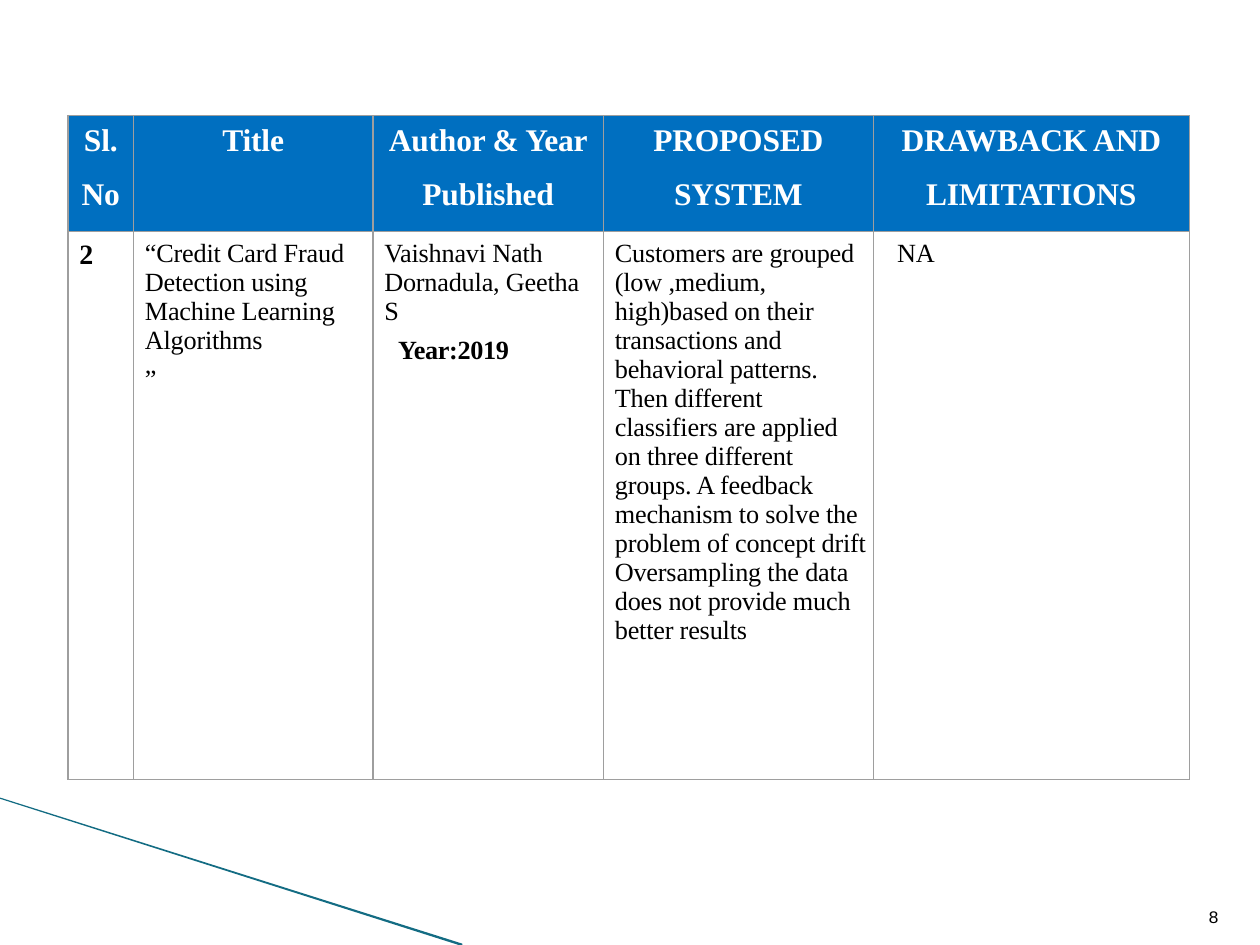
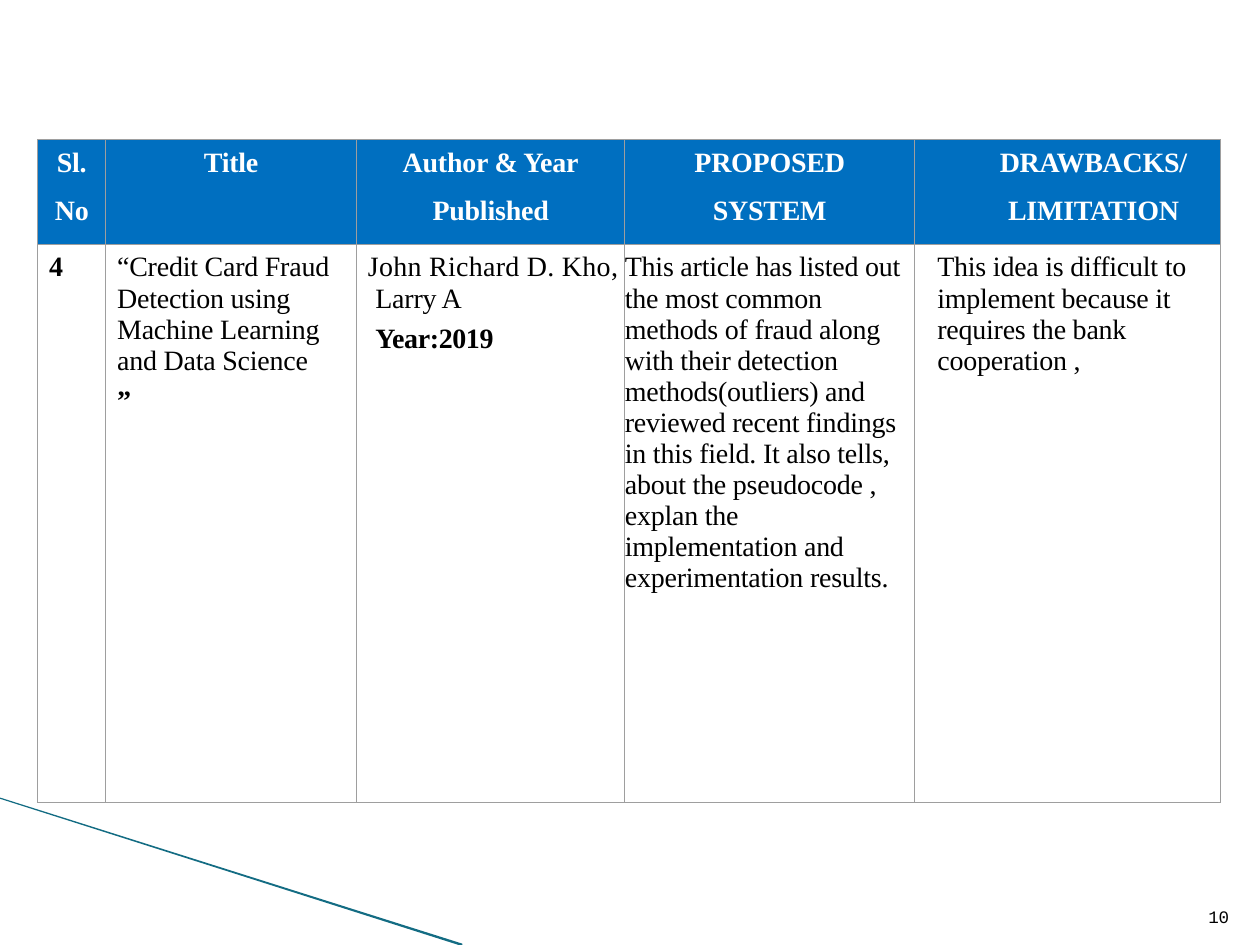
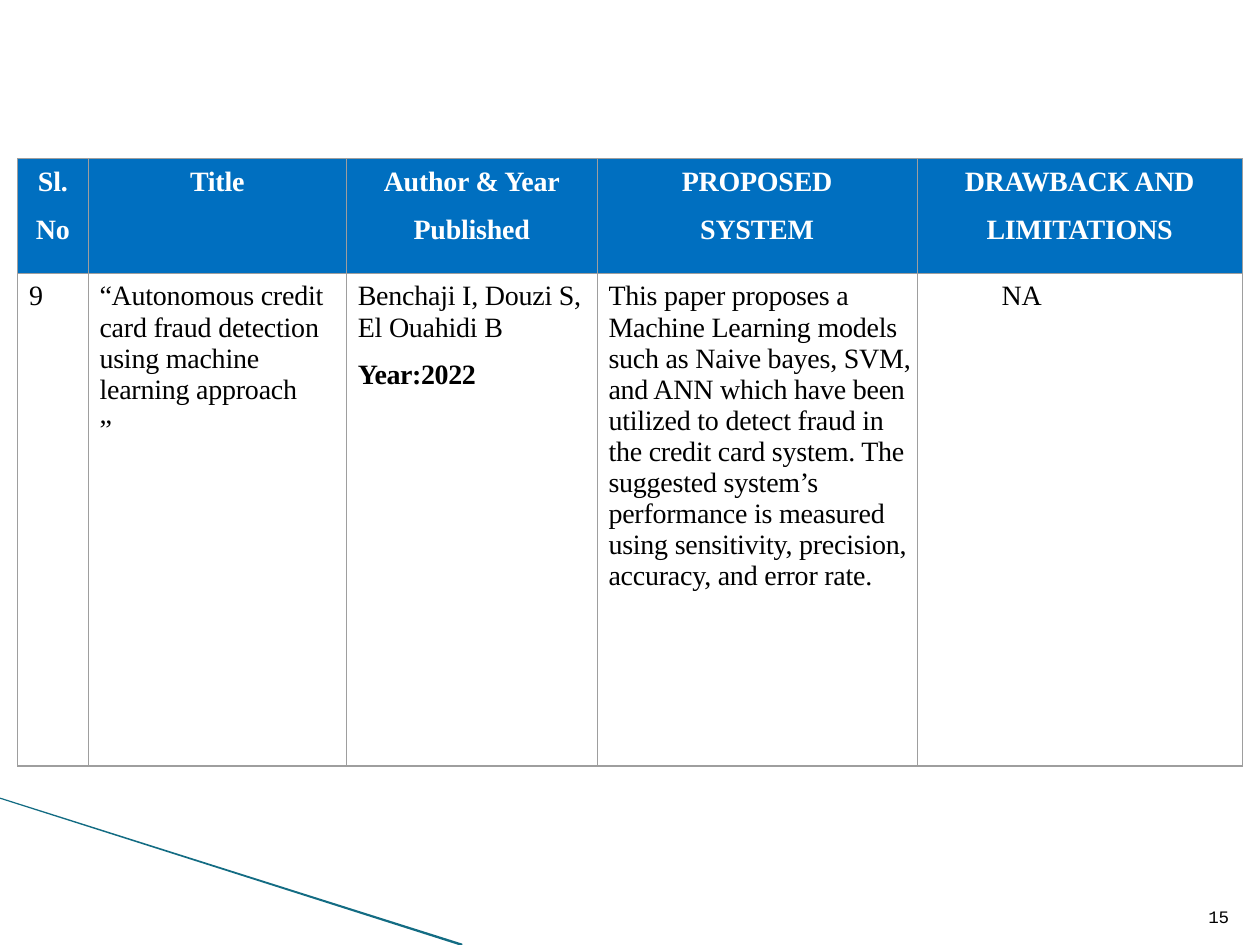
from lxml import etree
from pptx import Presentation, util as u
from pptx.dml.color import RGBColor
from pptx.enum import text
from pptx.oxml import ns

BLUE = RGBColor(0x00, 0x6F, 0xC0)
TEAL = RGBColor(0x13, 0x6C, 0x83)
GREY = RGBColor(0x9E, 0x9E, 0x9E)
WHITE = RGBColor(0xFF, 0xFF, 0xFF)
BLACK = RGBColor(0x00, 0x00, 0x00)
SERIF, MONO = "Times New Roman", "Courier New"
WIDE, HIGH = 10, 7.5
STRIPE = [(3.67, 7.5), (3.64, 7.5), (0, 6.34), (0, 6.33), (3.67, 7.49)]

HEADS = [["Sl.", "No"], ["Title"], ["Author & Year", "Published"],
         ["PROPOSED", "SYSTEM"], ["DRAWBACK AND", "LIMITATIONS"]]
IND = 0.09

# Body cells hold paragraphs: (words, format values that differ from BODY).
# A line feed in the words is a line break.
BODY = dict(indent=IND, before=4.4, bold=False, space=-0.1)
END = dict(before=5.4)
PAGES = [
    dict(page="8", at=(0.54, 0.92), cols=[0.52, 1.9, 1.83, 2.14, 2.51],
         rows=[0.92, 4.35], head=18, size=15, heads=HEADS, shift=0,
         cells=[
             [("2", dict(bold=True, size=16))],
             [("“Credit Card Fraud Detection using Machine Learning Algorithms", {}),
              ("”", END)],
             [("Vaishnavi Nath Dornadula, Geetha\nS", {}),
              ("Year:2019", dict(END, indent=0.2, bold=True, space=-0.2))],
             [("Customers are grouped (low ,medium, high)based on their "
               "transactions and behavioral patterns.", {}),
              ("Then different\nclassifiers are applied\non three different\n"
               "groups. A feedback mechanism to solve the problem of concept drift "
               "Oversampling the data does not provide much better results",
               dict(before=0))],
             [("NA", dict(indent=0.19))],
         ]),
    dict(page="10", at=(0.3, 1.11), cols=[0.54, 1.99, 2.13, 2.3, 2.43],
         rows=[0.83, 4.43], head=16, size=16, shift=0.41,
         heads=HEADS[:4] + [["DRAWBACKS/", "LIMITATION"]],
         cells=[
             [("4", dict(bold=True))],
             [("“Credit Card Fraud Detection using Machine Learning "
               "and Data Science", {}),
              ("”", dict(END, bold=True))],
             [("John Richard D. Kho,", dict(space=0.2)),
              ("Larry A", dict(before=0, indent=0.15)),
              ("Year:2019", dict(END, indent=0.15, bold=True, space=-0.2))],
             [("This article has listed out the most common\nmethods of fraud "
               "along with their detection methods(outliers) and reviewed recent "
               "findings in this field. It also tells, about the pseudocode , "
               "explan the\nimplementation and experimentation results.",
               dict(indent=0))],
             [("This idea is difficult to implement because it requires the bank "
               "cooperation ,", dict(indent=0.18))],
         ]),
    dict(page="15", at=(0.14, 1.26), cols=[0.56, 2.05, 1.99, 2.54, 2.58],
         rows=[0.91, 3.91], head=16, size=16, heads=HEADS, shift=0,
         cells=[
             [("9", {})],
             [("“Autonomous credit card fraud detection using machine\n"
               "learning approach", {}),
              ("”", END)],
             [("Benchaji I, Douzi S, El Ouahidi B", {}),
              ("Year:2022", dict(before=9.6, bold=True, space=-0.2))],
             [("This paper proposes a Machine Learning models such as Naive bayes, "
               "SVM, and ANN which have been utilized to detect fraud in the credit "
               "card system. The suggested system’s performance is measured using "
               "sensitivity, precision, accuracy, and error rate.", {})],
             [("NA", dict(indent=0.67))],
         ]),
]


def write(frame, paras):
    """Fill a text frame with (words, format) paragraphs."""
    frame.word_wrap = True
    for i, (words, form) in enumerate(paras):
        para = frame.add_paragraph() if i else frame.paragraphs[0]
        para.space_before = u.Pt(form["before"])
        para.alignment = form.get("align", text.PP_ALIGN.LEFT)
        props = para._p.get_or_add_pPr()
        props.set("marL", str(u.Inches(form["indent"])))
        props.set("indent", "0")
        for j, line in enumerate(words.split("\n")):
            if j:
                para.add_line_break()
            run = para.add_run()
            run.text = line
            run.font.color.rgb = form.get("ink", BLACK)
            values = dict(name=form.get("face", SERIF), bold=form["bold"],
                          size=u.Pt(form["size"]))
            for key, value in values.items():
                setattr(run.font, key, value)
            run.font._element.set("spc", str(round(form["space"] * 100)))


def inset(item, top):
    for side in ("left", "right", "bottom"):
        setattr(item, "margin_" + side, 0)
    item.margin_top = u.Inches(top)


def border(cell):
    props = cell._tc.get_or_add_tcPr()
    for i, side in enumerate("LRTB"):
        line = etree.Element(ns.qn("a:ln" + side), w=str(u.Pt(0.75)))
        fill = etree.SubElement(line, ns.qn("a:solidFill"))
        etree.SubElement(fill, ns.qn("a:srgbClr"), val=str(GREY))
        props.insert(i, line)


def fill_cell(cell, color, paras):
    inset(cell, 0.06)
    cell.fill.solid()
    cell.fill.fore_color.rgb = color
    border(cell)
    write(cell.text_frame, paras)


def add_grid(slide, data):
    cols, rows = data["cols"], data["rows"]
    box = [u.Inches(v) for v in (*data["at"], sum(cols), sum(rows))]
    grid = slide.shapes.add_table(len(rows), len(cols), *box).table
    grid.first_row = grid.horz_banding = False
    for col, width in zip(grid.columns, cols):
        col.width = u.Inches(width)
    for row, height in zip(grid.rows, rows):
        row.height = u.Inches(height)

    size, last = data["head"], len(cols) - 1
    for i, (lines, paras) in enumerate(zip(data["heads"], data["cells"])):
        head = dict(indent=data["shift"] if i == last else 0, size=size, bold=True,
                    space=-0.1, ink=WHITE, align=text.PP_ALIGN.CENTER)
        fill_cell(grid.cell(0, i), BLUE,
                  [(line, dict(head, before=size * 0.6 if j else 4.4))
                   for j, line in enumerate(lines)])
        base = dict(BODY, size=data["size"])
        fill_cell(grid.cell(1, i), WHITE,
                  [(words, {**base, **form}) for words, form in paras])


def add_page(slide, page):
    width = 0.09 * (len(page) + 1)
    box = slide.shapes.add_textbox(*[u.Inches(v) for v in (9.55, 7.16, width, 0.24)])
    inset(box.text_frame, 0.03)
    write(box.text_frame, [(page, dict(indent=0.04, before=1.9, size=10, bold=False,
                                       space=-0.1, face=MONO))])


def add_stripe(slide, layout):
    """Draw the corner stripe and hand it to the layout that all slides share."""
    dots = [(u.Inches(x), u.Inches(y)) for x, y in STRIPE]
    pen = slide.shapes.build_freeform(*dots[0])
    pen.add_line_segments(dots[1:], close=True)
    stripe = pen.convert_to_shape()
    stripe.shadow.inherit = False
    stripe.fill.solid()
    stripe.fill.fore_color.rgb = TEAL
    stripe.line.fill.background()
    layout.shapes.element.append(stripe.element)


def main():
    deck = Presentation()
    deck.slide_width, deck.slide_height = u.Inches(WIDE), u.Inches(HIGH)
    blank = deck.slide_layouts[6]
    for i, data in enumerate(PAGES):
        slide = deck.slides.add_slide(blank)
        if i == 0:
            add_stripe(slide, blank)
        add_grid(slide, data)
        add_page(slide, data["page"])
    deck.save("out.pptx")


if __name__ == "__main__":
    main()
